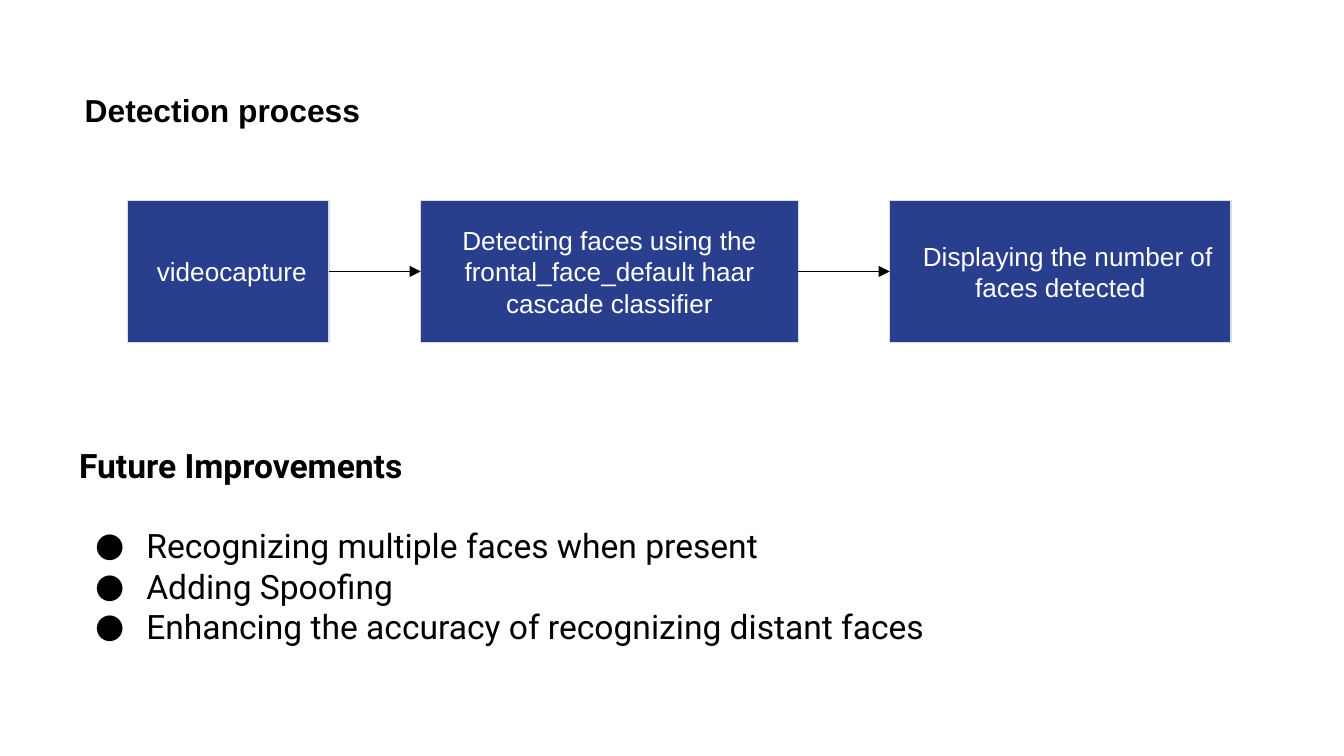
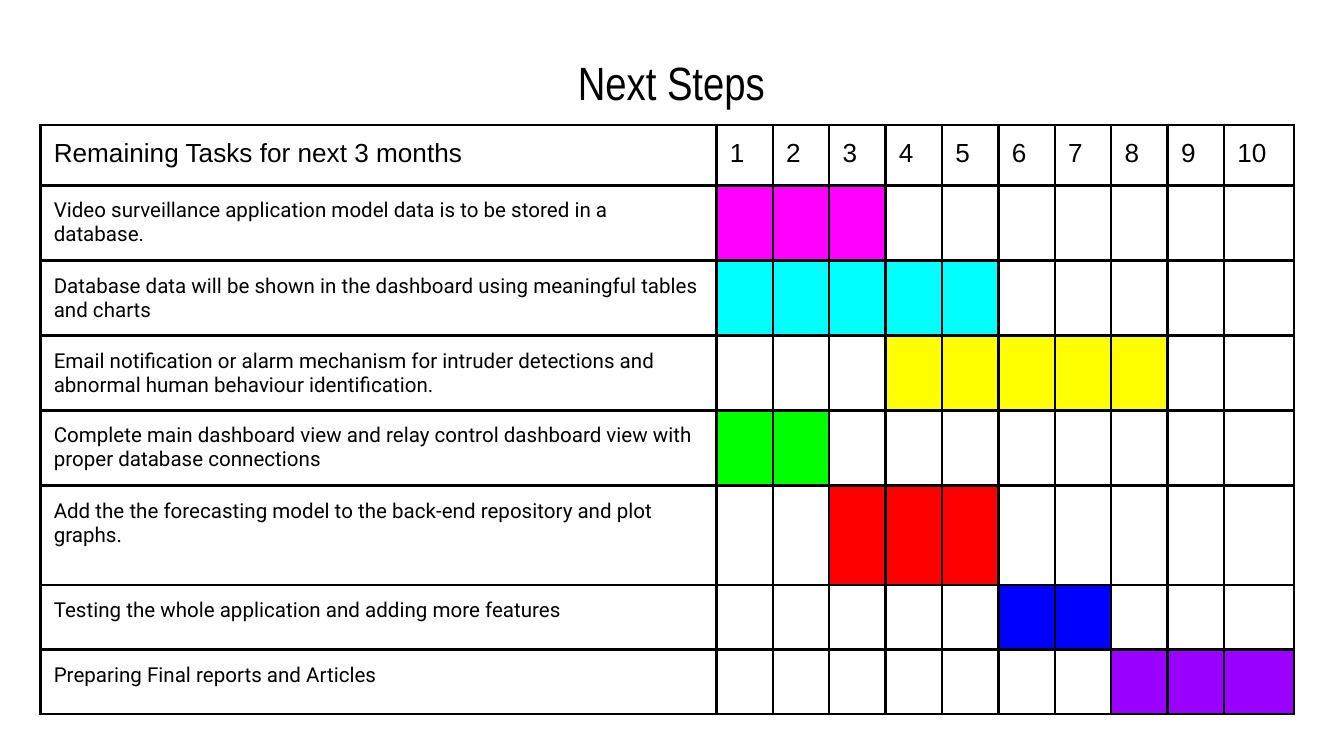
from lxml import etree
from pptx import Presentation
from pptx import util as u
from pptx.dml.color import RGBColor
from pptx.enum import shapes, text
from pptx.oxml import ns

BLACK, WHITE = "000000", "FFFFFF"
NAVY, PALE_GREY = "293E8D", "DDDDDD"
SANS, NARROW, BODY = "Arial", "Arial Narrow", "Roboto"
INSET = 0.1

# Process steps: text, left, width, first-line indent
STEPS = [
    ("videocapture", 0.95, 1.5, 0.05),
    ("Detecting faces using the frontal_face_default haar cascade classifier", 3.13, 2.81, 0),
    ("Displaying the number of faces detected", 6.62, 2.54, 0.11),
]
STEP_TOP, STEP_HEIGHT = 1.49, 1.06

IMPROVEMENTS = [
    "Recognizing multiple faces when present",
    "Adding Spoofing",
    "Enhancing the accuracy of recognizing distant faces",
]

# Schedule: task, first period, last period, colour, row height
TASKS = [
    ("Video surveillance application model data is to be stored in a database.",
     1, 3, "FF00FF", 0.56),
    ("Database data will be shown in the dashboard using meaningful tables and charts",
     1, 5, "00FFFF", 0.55),
    ("Email notification or alarm mechanism for intruder detections and abnormal human "
     "behaviour identification.", 4, 8, "FFFF00", 0.55),
    ("Complete main dashboard view and relay control dashboard view with proper database "
     "connections", 1, 2, "00FF00", 0.56),
    ("Add the the forecasting model to the back-end repository and plot graphs.",
     3, 5, "FF0000", 0.74),
    ("Testing the whole application and adding more features", 6, 7, "0000FF", 0.48),
    ("Preparing Final reports and Articles", 8, 10, "9900FF", 0.48),
]
PERIODS = 10
HEADER_HEIGHT = 0.45
COL_WIDTHS = [5.03] + [0.42] * (PERIODS - 1) + [0.52]


def rgb(hex_color):
    return RGBColor.from_string(hex_color)


def box(left, top, width, height):
    return [u.Inches(v) for v in (left, top, width, height)]


def style(p, size, font, color=BLACK, bold=False):
    for r in p.runs:
        r.font.size = u.Pt(size)
        r.font.name = font
        r.font.bold = bold
        r.font.color.rgb = rgb(color)


def set_insets(target):
    """Give a text frame or a table cell the common inset."""
    for side in ("left", "top", "right", "bottom"):
        setattr(target, "margin_" + side, u.Inches(INSET))


def set_indent(p, first, left=0):
    pPr = p._p.get_or_add_pPr()
    pPr.set("marL", str(u.Inches(left)))
    pPr.set("indent", str(u.Inches(first)))
    return pPr


def add_titled_slide(prs, title, frame, size, font, bold, align, anchor):
    s = prs.slides.add_slide(prs.slide_layouts[5])
    sp = s.shapes.title
    sp.left, sp.top, sp.width, sp.height = box(*frame)
    tf = sp.text_frame
    tf.text = title
    tf.word_wrap = True
    tf.auto_size = text.MSO_AUTO_SIZE.NONE
    tf.vertical_anchor = anchor
    set_insets(tf)
    p = tf.paragraphs[0]
    p.alignment = align
    style(p, size, font, bold=bold)
    return s


def add_step(s, label, left, width, indent):
    sp = s.shapes.add_shape(shapes.MSO_SHAPE.RECTANGLE,
                            *box(left, STEP_TOP, width, STEP_HEIGHT))
    sp.shadow.inherit = False
    sp.fill.solid()
    sp.fill.fore_color.rgb = rgb(NAVY)
    sp.line.color.rgb = rgb(PALE_GREY)
    sp.line.width = u.Pt(0.75)
    tf = sp.text_frame
    tf.text = label
    tf.word_wrap = True
    tf.vertical_anchor = text.MSO_ANCHOR.MIDDLE
    set_insets(tf)
    p = tf.paragraphs[0]
    p.alignment = text.PP_ALIGN.CENTER
    set_indent(p, indent)
    style(p, 14, SANS, WHITE)
    return sp


def add_arrow(s, start, end):
    line = s.shapes.add_connector(shapes.MSO_CONNECTOR.STRAIGHT, 0, 0, 0, 0)
    line.begin_connect(start, 3)
    line.end_connect(end, 1)
    line.line.color.rgb = rgb(BLACK)
    line.line.width = u.Pt(0.75)
    etree.SubElement(line.line._get_or_add_ln(), ns.qn("a:tailEnd"), type="triangle")
    etree.SubElement(line._element.spPr, ns.qn("a:effectLst"))


def add_bullet(p):
    pPr = set_indent(p, -0.38, 0.5)
    color = etree.SubElement(pPr, ns.qn("a:buClr"))
    etree.SubElement(color, ns.qn("a:srgbClr"), val=BLACK)
    etree.SubElement(pPr, ns.qn("a:buSzPct"), val="100000")
    etree.SubElement(pPr, ns.qn("a:buFont"), typeface=BODY)
    etree.SubElement(pPr, ns.qn("a:buChar"), char="●")


def add_bullet_list(s, heading, items, frame):
    tf = s.shapes.add_textbox(*box(*frame)).text_frame
    tf.word_wrap = True
    set_insets(tf)
    p = tf.paragraphs[0]
    p.text = heading
    p.space_after = u.Pt(21.5)
    style(p, 18, BODY, bold=True)
    for item in items:
        p = tf.add_paragraph()
        p.text = item
        add_bullet(p)
        style(p, 18, BODY)


def format_cell(cell, fill=None):
    tcPr = cell._tc.get_or_add_tcPr()
    for side in ("lnL", "lnR", "lnT", "lnB"):
        ln = etree.SubElement(tcPr, ns.qn("a:" + side), w=str(u.Pt(1.5)))
        solid = etree.SubElement(ln, ns.qn("a:solidFill"))
        etree.SubElement(solid, ns.qn("a:srgbClr"), val=BLACK)
    if fill:
        cell.fill.solid()
        cell.fill.fore_color.rgb = rgb(fill)
    else:
        cell.fill.background()


def write_cell(cell, label, size, font):
    cell.text = label
    set_insets(cell)
    style(cell.text_frame.paragraphs[0], size, font)


def add_schedule(s, left, top):
    heights = [HEADER_HEIGHT] + [task[-1] for task in TASKS]
    table = s.shapes.add_table(len(heights), len(COL_WIDTHS),
                               *box(left, top, sum(COL_WIDTHS), sum(heights))).table
    table.first_row = table.horz_banding = False
    for col, width in zip(table.columns, COL_WIDTHS):
        col.width = u.Inches(width)
    for row, height in zip(table.rows, heights):
        row.height = u.Inches(height)

    # Header row
    header = ["Remaining Tasks for next 3 months"] + [str(n + 1) for n in range(PERIODS)]
    for i, label in enumerate(header):
        format_cell(table.cell(0, i))
        write_cell(table.cell(0, i), label, 14, SANS)

    # Task rows with their coloured periods
    for i, (task, first, last, color, _) in enumerate(TASKS, start=1):
        format_cell(table.cell(i, 0))
        write_cell(table.cell(i, 0), task, 11, BODY)
        for period in range(1, PERIODS + 1):
            format_cell(table.cell(i, period), color if first <= period <= last else None)


def build_process_slide(prs):
    s = add_titled_slide(prs, "Detection process", (0.53, 0.53, 9.04, 0.6), 17, SANS, True,
                         text.PP_ALIGN.LEFT, text.MSO_ANCHOR.TOP)
    s.shapes.title.text_frame.paragraphs[0].line_spacing = 1.15
    steps = [add_step(s, *step) for step in STEPS]
    for start, end in zip(steps, steps[1:]):
        add_arrow(s, start, end)
    add_bullet_list(s, "Future Improvements", IMPROVEMENTS, (0.49, 3.21, 9.02, 1.95))


def build_schedule_slide(prs):
    s = add_titled_slide(prs, "Next Steps", (0.56, 0.33, 8.87, 0.56), 25, NARROW, False,
                         text.PP_ALIGN.CENTER, text.MSO_ANCHOR.MIDDLE)
    add_schedule(s, 0.3, 0.93)


def main():
    prs = Presentation()
    # Widescreen 16:9
    prs.slide_width = u.Inches(10)
    prs.slide_height = prs.slide_width * 9 // 16
    build_process_slide(prs)
    build_schedule_slide(prs)
    prs.save("out.pptx")


if __name__ == "__main__":
    main()
